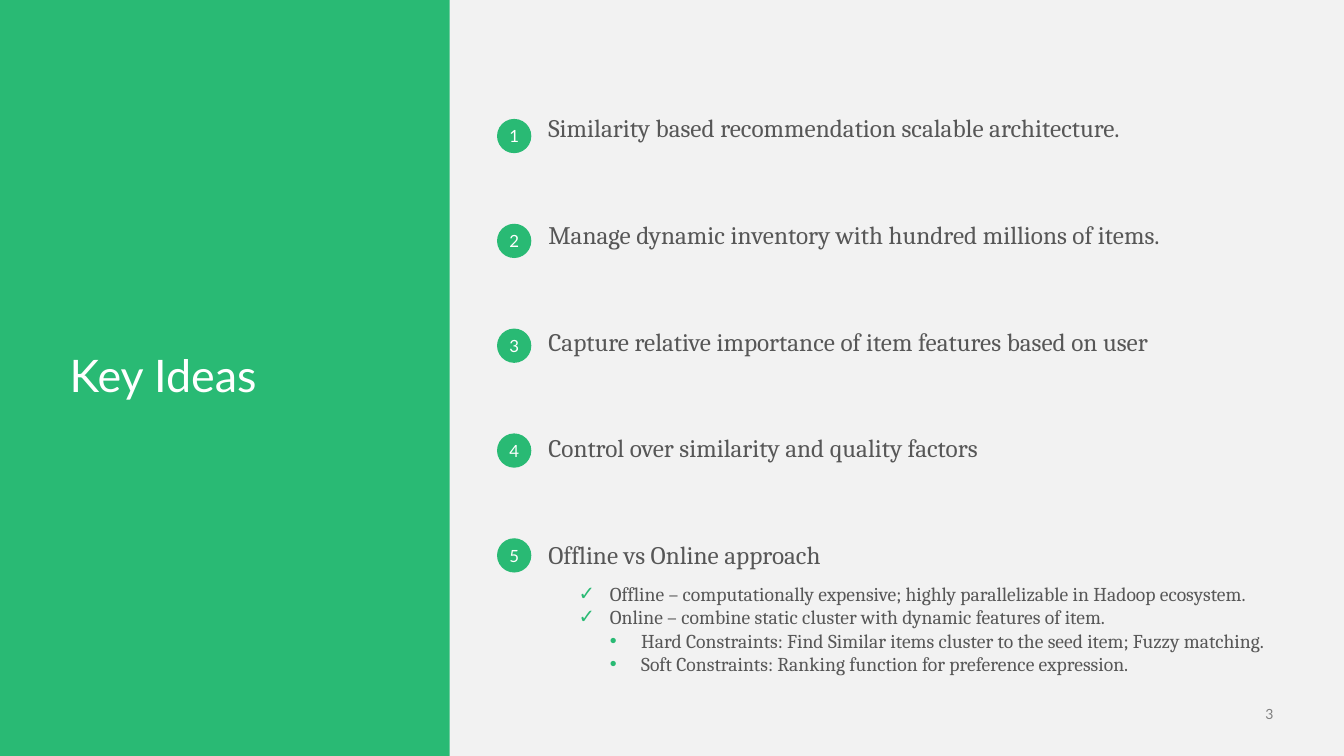
from dataclasses import dataclass

from lxml.etree import SubElement
from pptx import Presentation
from pptx.dml.color import RGBColor
from pptx.enum.shapes import MSO_SHAPE
from pptx.enum.text import MSO_ANCHOR, MSO_AUTO_SIZE, PP_ALIGN
from pptx.oxml.ns import qn
from pptx.util import Inches, Pt

GREEN, PANEL, WHITE, TEXT, GREY = "29BA74", "F2F2F2", "FFFFFF", "575757", "808080"
INDENT = 0.31

# Text formats
TITLE = {"name": "Lato", "size": 32, "color": WHITE}
NUMBER = {"name": "Lato", "size": 12, "color": WHITE}
PAGE = {"name": "Lato", "size": 10, "color": GREY}
IDEA = {"name": "Cambria", "size": 18, "color": TEXT}
DETAIL = {"name": "Cambria", "size": 14, "color": TEXT}


@dataclass
class Detail:
    text: str
    bullet: str
    level: int = 0


IDEAS = [
    "Similarity based recommendation scalable architecture.",
    "Manage dynamic inventory with hundred millions of items.",
    "Capture relative importance of item features based on user",
    "Control over similarity and quality factors",
    "Offline vs Online approach",
]
DETAILS = [
    Detail("Offline – computationally expensive; highly parallelizable in Hadoop ecosystem.", "✓"),
    Detail("Online – combine static cluster with dynamic features of item.", "✓"),
    Detail("Hard Constraints: Find Similar items cluster to the seed item; Fuzzy matching.", "•", 1),
    Detail("Soft Constraints: Ranking function for preference expression.", "•", 1),
]


def rgb(color: str) -> RGBColor:
    return RGBColor.from_string(color)


def add_run(p, text: str, fmt: dict) -> None:
    r = p.add_run()
    r.text = text
    for key, value in fmt.items():
        if key == "color":
            r.font.color.rgb = rgb(value)
        else:
            setattr(r.font, key, Pt(value) if key == "size" else value)


def set_frame(tf, anchor: MSO_ANCHOR, inset: bool = False) -> None:
    values = {"word_wrap": True, "auto_size": MSO_AUTO_SIZE.NONE, "vertical_anchor": anchor}
    if not inset:
        values |= dict.fromkeys(("margin_left", "margin_top", "margin_right", "margin_bottom"), 0)
    for key, value in values.items():
        setattr(tf, key, value)


def add_text(slide, left: float, top: float, width: float, height: float):
    box = slide.shapes.add_textbox(Inches(left), Inches(top), Inches(width), Inches(height))
    set_frame(box.text_frame, MSO_ANCHOR.TOP, inset=True)
    return box.text_frame


def add_filled(slide, kind: MSO_SHAPE, left: float, top: float, width: float, height: float, color: str):
    sp = slide.shapes.add_shape(kind, Inches(left), Inches(top), Inches(width), Inches(height))
    sp.shadow.inherit = False
    sp.fill.solid()
    sp.fill.fore_color.rgb = rgb(color)
    sp.line.fill.background()
    return sp


def add_idea(slide, index: int, text: str) -> None:
    badge = add_filled(slide, MSO_SHAPE.OVAL, 4.93, 1.18 + 1.04 * index, 0.34, 0.34, GREEN)
    set_frame(badge.text_frame, MSO_ANCHOR.MIDDLE)
    p = badge.text_frame.paragraphs[0]
    p.alignment = PP_ALIGN.CENTER
    add_run(p, str(index + 1), NUMBER)
    tf = add_text(slide, 5.34, 1.07 + 1.0575 * index, 7.02, 0.4)
    add_run(tf.paragraphs[0], text, IDEA)


def add_detail(p, detail: Detail) -> None:
    p.level = detail.level
    add_run(p, detail.text, DETAIL)
    props = p._p.get_or_add_pPr()
    props.set("marL", str(Inches(INDENT * (detail.level + 1))))
    props.set("indent", str(Inches(-INDENT)))
    SubElement(SubElement(props, qn("a:buClr")), qn("a:srgbClr"), val=GREEN)
    SubElement(props, qn("a:buFont"), typeface="Arial")
    SubElement(props, qn("a:buChar"), char=detail.bullet)


def main() -> None:
    prs = Presentation()
    prs.slide_width, prs.slide_height = Inches(13.33), Inches(7.5)
    slide = prs.slides.add_slide(prs.slide_layouts[5])

    # Green background with a light panel on the right
    slide.background.fill.solid()
    slide.background.fill.fore_color.rgb = rgb(GREEN)
    add_filled(slide, MSO_SHAPE.RECTANGLE, 4.46, 0, 8.87, 7.5, PANEL)

    # Title
    title = slide.shapes.title
    title.left, title.top, title.width, title.height = map(Inches, (0.69, 2.93, 3.42, 1.64))
    set_frame(title.text_frame, MSO_ANCHOR.MIDDLE)
    p = title.text_frame.paragraphs[0]
    p.alignment, p.line_spacing = PP_ALIGN.LEFT, 0.9
    add_run(p, "Key Ideas", TITLE)

    # Numbered ideas
    for index, text in enumerate(IDEAS):
        add_idea(slide, index, text)

    # Details of the last idea
    tf = add_text(slide, 5.64, 5.72, 7.69, 1.04)
    for index, detail in enumerate(DETAILS):
        add_detail(tf.add_paragraph() if index else tf.paragraphs[0], detail)

    # Page number
    tf = add_text(slide, 12.21, 7, 0.42, 0.17)
    set_frame(tf, MSO_ANCHOR.BOTTOM)
    tf.paragraphs[0].alignment = PP_ALIGN.RIGHT
    add_run(tf.paragraphs[0], "3", PAGE)

    prs.save("out.pptx")


if __name__ == "__main__":
    main()
